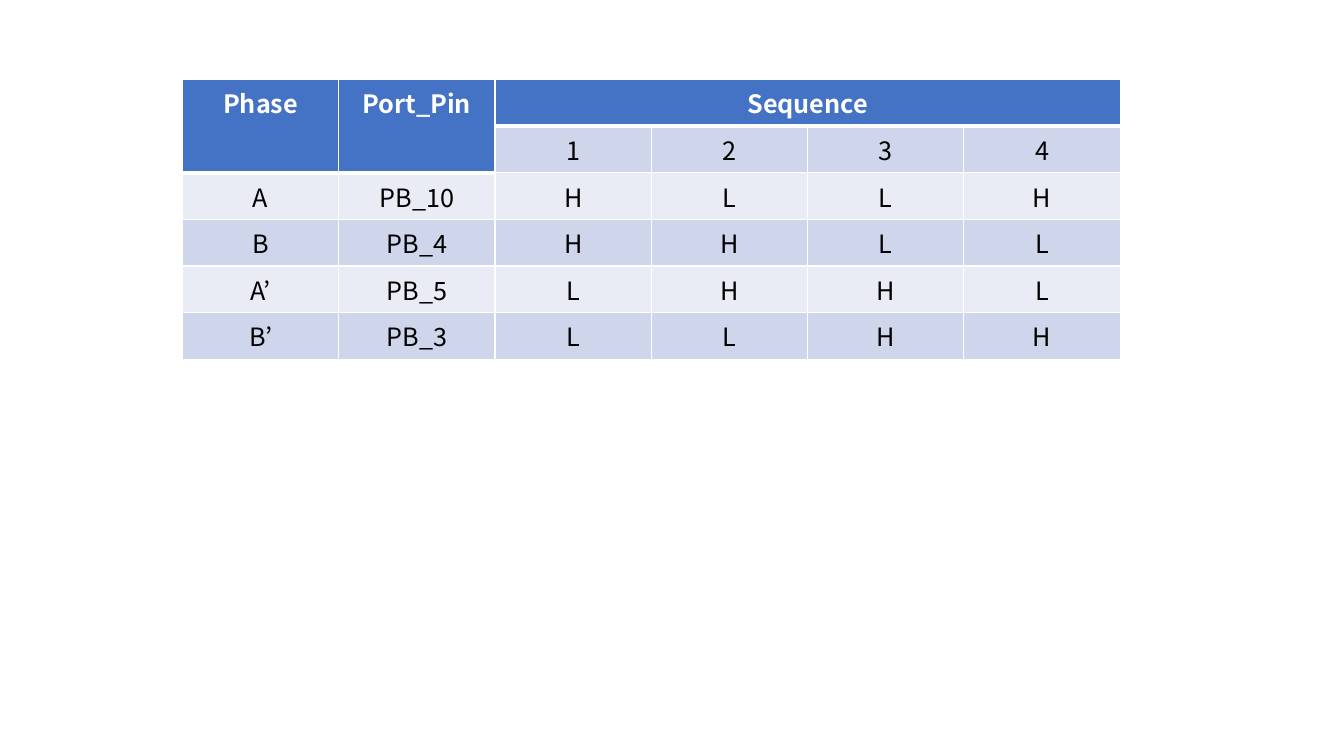
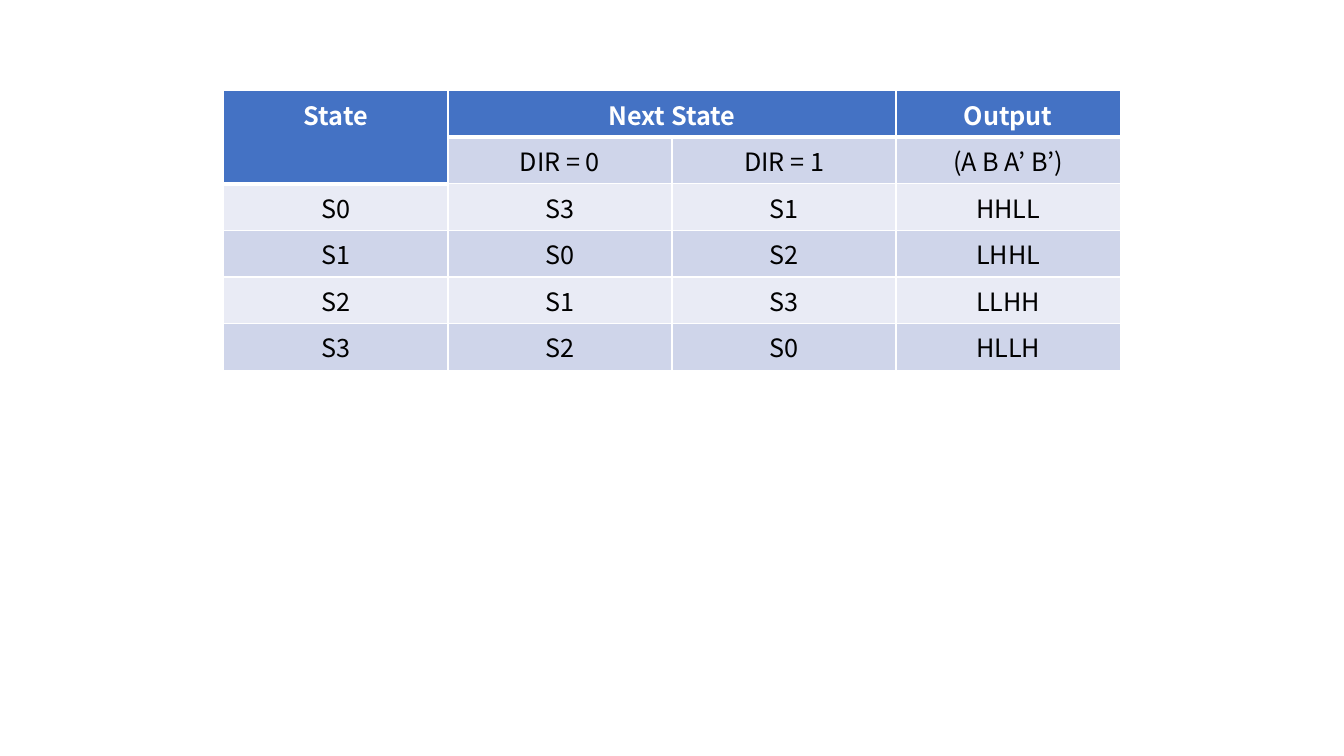
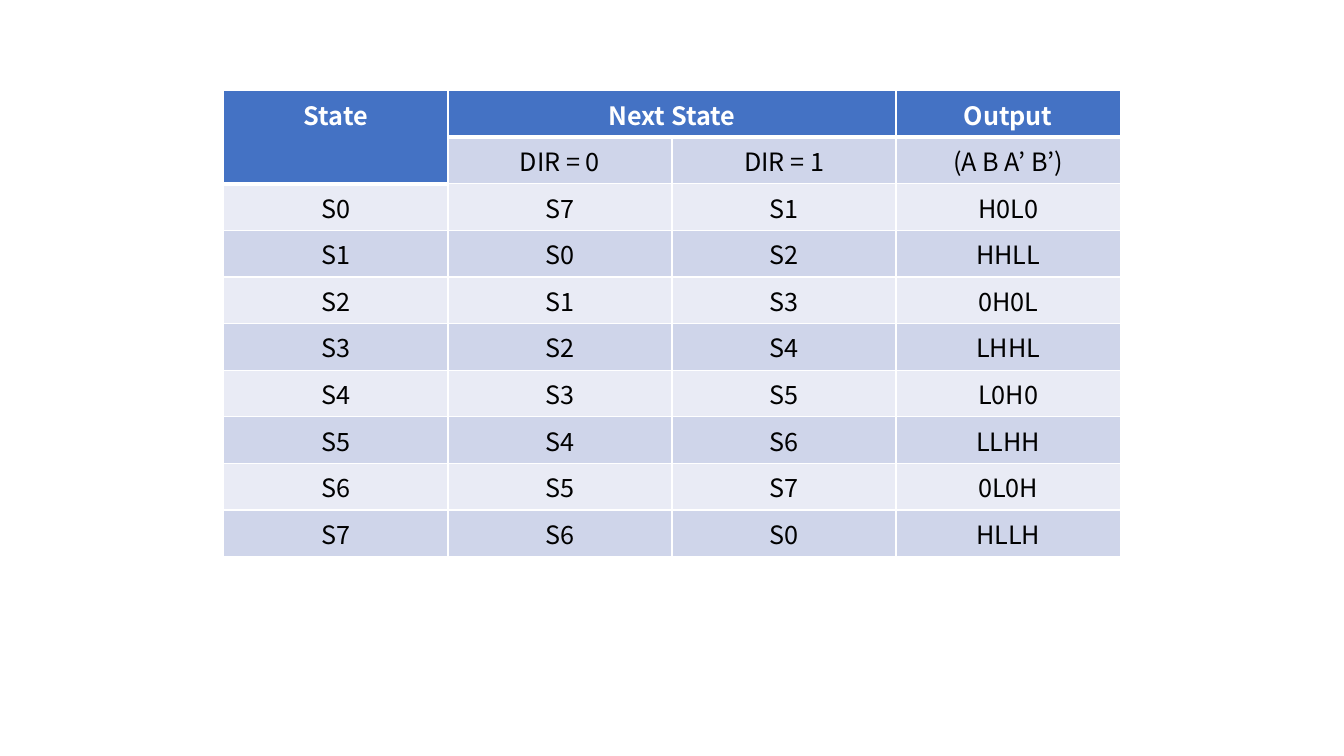
from lxml.etree import SubElement
from pptx import Presentation
from pptx.dml.color import RGBColor
from pptx.enum.text import PP_ALIGN
from pptx.oxml.ns import qn
from pptx.util import Inches, Pt

COLORS = {"header": "4472C4", "band": "CFD5EA", "light": "E9EBF5",
          "line": "FFFFFF", "header_text": "FFFFFF", "text": "000000"}
FONT = "Noto Sans CJK KR"
ROW_HEIGHT = 0.46

SEQUENCE_ROWS = [
    ["Phase", "Port_Pin", "Sequence", "", "", ""],
    ["", "", "1", "2", "3", "4"],
    ["A", "PB_10", "H", "L", "L", "H"],
    ["B", "PB_4", "H", "H", "L", "L"],
    ["A’", "PB_5", "L", "H", "H", "L"],
    ["B’", "PB_3", "L", "L", "H", "H"],
]
FULL_STEP = ["HHLL", "LHHL", "LLHH", "HLLH"]
HALF_STEP = ["H0L0", "HHLL", "0H0L", "LHHL", "L0H0", "LLHH", "0L0H", "HLLH"]


def rgb(name):
    """Return a palette colour."""
    return RGBColor.from_string(COLORS[name])


def set_borders(cell, top, bottom):
    """Draw the cell's edges, with the given top and bottom widths in points."""
    tcPr = cell._tc.get_or_add_tcPr()
    for tag, width in (("a:lnL", 1), ("a:lnR", 1), ("a:lnT", top), ("a:lnB", bottom)):
        ln = SubElement(tcPr, qn(tag), w=str(Pt(width)))
        fill = SubElement(ln, qn("a:solidFill"))
        SubElement(fill, qn("a:srgbClr"), val=COLORS["line"])


def style_cell(cell, text, fill, header, below_header):
    """Write one centred cell with its fill and edges."""
    set_borders(cell, 3 if below_header else 1, 3 if header else 1)
    cell.fill.solid()
    cell.fill.fore_color.rgb = rgb(fill)
    p = cell.text_frame.paragraphs[0]
    p.text = text
    p.alignment = PP_ALIGN.CENTER
    p.font.name, p.font.size, p.font.bold = FONT, Pt(18), header
    p.font.color.rgb = rgb("header_text" if header else "text")


def merge_headers(table, rows):
    """Join each heading with the blank cells to its right or below it."""
    top, second = rows[:2]
    for c, text in enumerate(top):
        if not text:
            continue
        end = c
        while end + 1 < len(top) and not top[end + 1]:
            end += 1
        last_row = 0 if second[c] else 1
        if end > c or last_row:
            table.cell(0, c).merge(table.cell(last_row, end))


def add_grid(s, rows, left, top, width):
    """Place a two-level-header table in the given box."""
    n_rows, n_cols = len(rows), len(rows[0])
    table = s.shapes.add_table(n_rows, n_cols, Inches(left), Inches(top), Inches(width),
                               Inches(ROW_HEIGHT * n_rows)).table
    table.horz_banding = False
    for col in table.columns:
        col.width = Inches(width / n_cols)
    for r, row in enumerate(rows):
        table.rows[r].height = Inches(ROW_HEIGHT)
        for c, text in enumerate(row):
            header = r == 0 or not text
            below_header = r == 1 or (r == 2 and not rows[1][c])
            fill = "header" if header else "band" if r % 2 else "light"
            style_cell(table.cell(r, c), text, fill, header, below_header)
    merge_headers(table, rows)


def state_rows(outputs):
    """List the cyclic state transitions for a series of outputs."""
    n = len(outputs)
    return [["State", "Next State", "", "Output"],
            ["", "DIR = 0", "DIR = 1", "(A B A’ B’)"],
            *([f"S{i}", f"S{(i - 1) % n}", f"S{(i + 1) % n}", output]
              for i, output in enumerate(outputs))]


def main():
    """Build the three table slides."""
    prs = Presentation()
    prs.slide_width, prs.slide_height = Inches(13.33), Inches(7.5)
    state_box = (2.22, 0.9, 8.89)
    for rows, box in ((SEQUENCE_ROWS, (1.81, 0.79, 9.3)),
                      (state_rows(FULL_STEP), state_box),
                      (state_rows(HALF_STEP), state_box)):
        s = prs.slides.add_slide(prs.slide_layouts[6])
        add_grid(s, rows, *box)
    prs.save("out.pptx")


if __name__ == "__main__":
    main()
